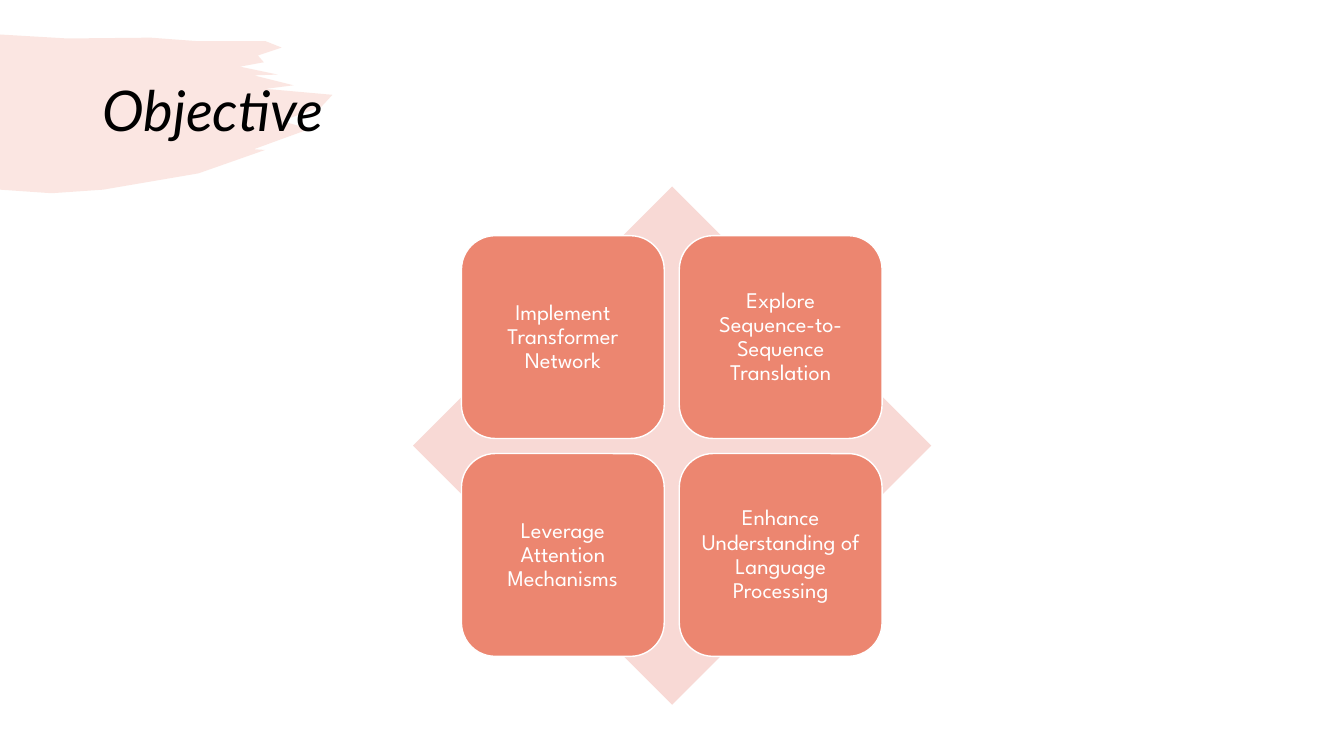
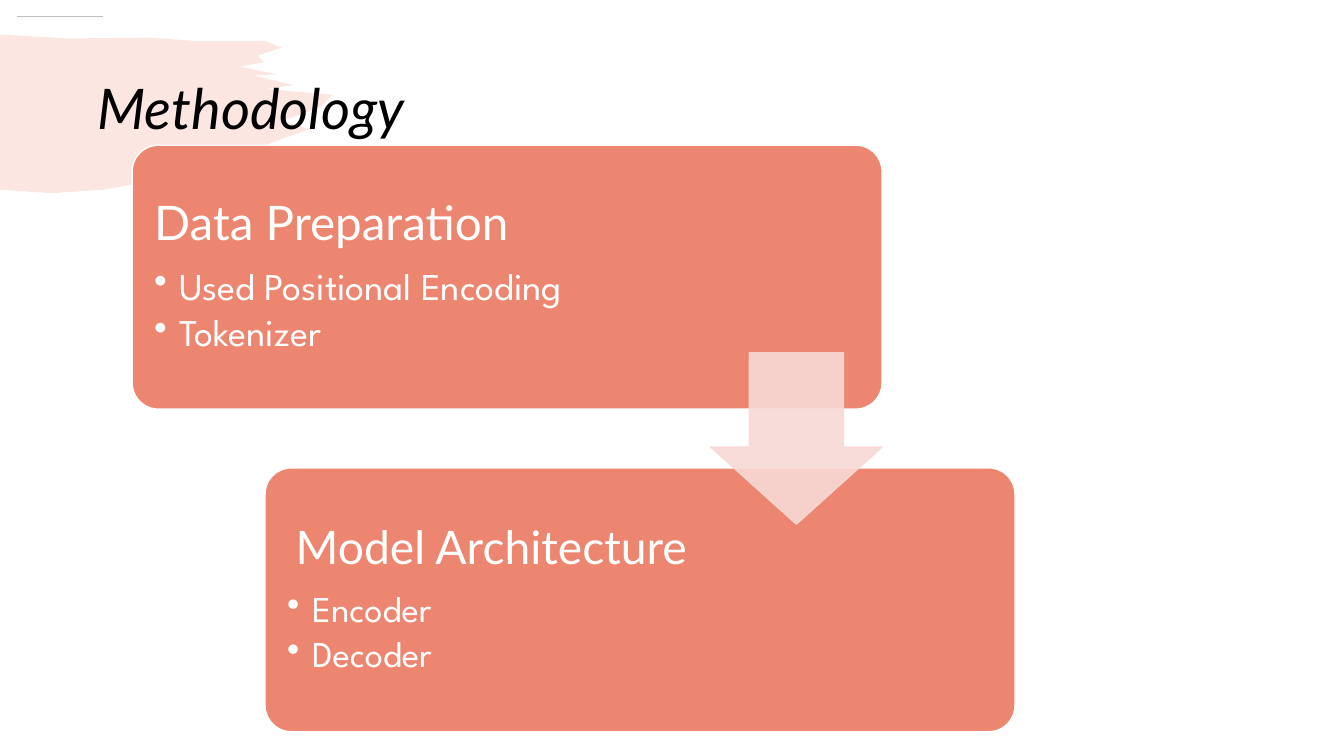
from lxml.etree import SubElement
from pptx import Presentation
from pptx.dml.color import RGBColor
from pptx.enum.shapes import MSO_CONNECTOR, MSO_SHAPE
from pptx.enum.text import MSO_ANCHOR, PP_ALIGN
from pptx.oxml.ns import qn
from pptx.util import Cm, Pt

CORAL, BLUSH, WHITE, BLACK, GREY = "EC8670", "F8D9D5", "FFFFFF", "000000", "BFBFBF"
HEAD_FONT, BODY_FONT = "Lato", "League Spartan"

OBJECTIVES = [
    "Implement Transformer Network",
    "Explore Sequence-to-Sequence Translation",
    "Leverage Attention Mechanisms",
    "Enhance Understanding of Language Processing",
]
# heading, heading size, heading indent in cm, bullet size, bullets
STAGES = [
    ("Data Preparation", 34, 0, 27, ["Used Positional Encoding", "Tokenizer"]),
    ("Model Architecture", 33, 0.22, 26, ["Encoder", "Decoder"]),
]

TITLE_FORMAT = {"name": HEAD_FONT, "size": Pt(40), "italic": True}
TILE_FORMAT = {"name": BODY_FONT, "size": Pt(16)}

# Outline of the brush stroke behind the title, in cm
BRUSH_OUTLINE = [
    (0, 0.87), (1.7, 0.97), (3.8, 0.95), (5, 1.04), (6.7, 1.04), (7.1, 1.2),
    (6.5, 1.4), (6.65, 1.57), (6.05, 1.68), (7, 1.88), (6.4, 1.9), (7.4, 2.15),
    (6.7, 2.24), (8.38, 2.39), (8.1, 2.69), (7.1, 3.05), (7.8, 3.25), (6.4, 3.76),
    (6.68, 3.78), (5, 4.37), (2.6, 4.78), (1.3, 4.87), (0, 4.78),
]


def rgb(value):
    return RGBColor.from_string(value)


def paint(shape, fill, line=None, opacity=100):
    shape.shadow.inherit = False
    shape.fill.solid()
    shape.fill.fore_color.rgb = rgb(fill)
    if line:
        shape.line.color.rgb = rgb(line)
        shape.line.width = Pt(1)
    else:
        shape.line.fill.background()
    if opacity < 100:
        for color in shape._element.spPr.iter(qn("a:srgbClr")):
            SubElement(color, qn("a:alpha"), val=str(opacity * 1000))


def add_figure(slide, preset, box, fill, line=None, opacity=100, adjust=()):
    figure = slide.shapes.add_shape(preset, *map(Cm, box))
    for index, value in enumerate(adjust):
        figure.adjustments[index] = value
    paint(figure, fill, line, opacity)
    return figure


def set_frame(shape, inset):
    frame = shape.text_frame
    layout = {"word_wrap": True, "vertical_anchor": MSO_ANCHOR.MIDDLE}
    layout.update({f"margin_{side}": Cm(inset) for side in ("left", "right", "top", "bottom")})
    for name, value in layout.items():
        setattr(frame, name, value)
    return frame


def write(paragraph, text, font_format, color=WHITE, align=PP_ALIGN.LEFT, after=0):
    paragraph.alignment, paragraph.line_spacing = align, 0.9
    paragraph.space_after = Pt(after)
    run = paragraph.add_run()
    run.text = text
    run.font.color.rgb = rgb(color)
    for name, value in font_format.items():
        setattr(run.font, name, value)


def indent(paragraph, left, bullet=None):
    """Indent by left cm; a bullet hangs in that space."""
    properties = paragraph._p.get_or_add_pPr()
    properties.set("marL", str(Cm(left)))
    if bullet:
        properties.set("indent", str(-Cm(left)))
        SubElement(properties, qn("a:buChar"), char=bullet)


def add_brush(slide):
    first, *rest = [tuple(map(Cm, point)) for point in BRUSH_OUTLINE]
    outline = slide.shapes.build_freeform(*first)
    outline.add_line_segments(rest, close=True)
    paint(outline.convert_to_shape(), CORAL, opacity=20)


def add_titled_slide(deck, title, left, top):
    slide = deck.slides.add_slide(deck.slide_layouts[6])
    add_brush(slide)
    title_box = slide.shapes.add_textbox(Cm(left), Cm(top), Cm(29.21), Cm(3.68))
    write(set_frame(title_box, 0.25).paragraphs[0], title, TITLE_FORMAT, BLACK)
    return slide


def add_objectives(deck):
    slide = add_titled_slide(deck, "Objective", 2.34, 1.02)
    add_figure(slide, MSO_SHAPE.DIAMOND, (10.41, 4.7, 13.06, 13.06), BLUSH)
    left, top, size, pitch = 11.63, 5.94, 5.11, 5.49
    for index, objective in enumerate(OBJECTIVES):
        row, column = divmod(index, 2)
        box = (left + column * pitch, top + row * pitch, size, size)
        tile = add_figure(slide, MSO_SHAPE.ROUNDED_RECTANGLE, box, CORAL, WHITE)
        write(set_frame(tile, 0.18).paragraphs[0], objective, TILE_FORMAT,
              align=PP_ALIGN.CENTER)


def add_methodology(deck):
    slide = add_titled_slide(deck, "Methodology", 2.21, 0.97)
    rule = slide.shapes.add_connector(
        MSO_CONNECTOR.STRAIGHT, Cm(0.43), Cm(0.42), Cm(2.6), Cm(0.42))
    rule.line.color.rgb, rule.line.width = rgb(GREY), Pt(0.5)
    SubElement(rule._element.spPr, qn("a:effectLst"))

    left, top, step_right, step_down = 3.33, 3.66, 3.35, 8.13
    for index, (heading, heading_size, offset, size, bullets) in enumerate(STAGES):
        box = (left + index * step_right, top + index * step_down, 18.9, 6.65)
        panel = add_figure(slide, MSO_SHAPE.ROUNDED_RECTANGLE, box, CORAL, WHITE, adjust=[0.1])
        frame = set_frame(panel, 0.36)
        first = frame.paragraphs[0]
        write(first, heading, {"name": HEAD_FONT, "size": Pt(heading_size)},
              after=round(heading_size * 0.35))
        indent(first, offset)
        for bullet in bullets:
            paragraph = frame.add_paragraph()
            write(paragraph, bullet, {"name": BODY_FONT, "size": Pt(size)},
                  after=round(size * 0.15))
            indent(paragraph, 0.63, "•")
    add_figure(slide, MSO_SHAPE.DOWN_ARROW, (17.91, 8.89, 4.32, 4.32), BLUSH, BLUSH,
               opacity=90, adjust=[0.55, 0.45])


def main():
    deck = Presentation()
    deck.slide_width, deck.slide_height = Cm(33.87), Cm(19.05)
    add_objectives(deck)
    add_methodology(deck)
    deck.save("out.pptx")


if __name__ == "__main__":
    main()
